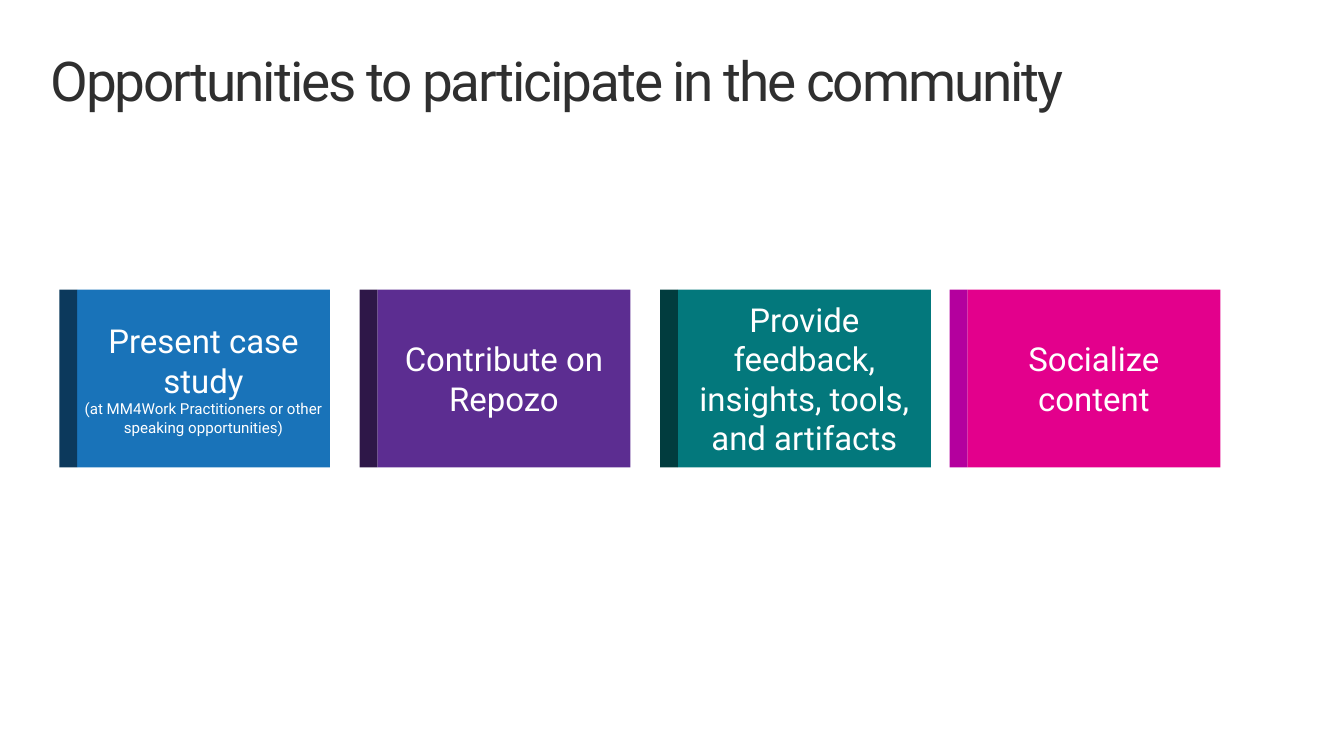
from pptx import Presentation
from pptx.dml.color import RGBColor
from pptx.enum.shapes import MSO_SHAPE
from pptx.enum.text import MSO_ANCHOR, PP_ALIGN
from pptx.util import Emu, Pt

PX = 9144  # EMU per px, at 100 px to the inch
WHITE = RGBColor(0xFF, 0xFF, 0xFF)
INK = RGBColor(0x2F, 0x2F, 0x2F)
BLUE = RGBColor(0x19, 0x73, 0xB9)
NAVY = RGBColor(0x0C, 0x39, 0x5C)
PURPLE = RGBColor(0x5C, 0x2D, 0x91)
PLUM = RGBColor(0x2E, 0x17, 0x48)
TEAL = RGBColor(0x03, 0x78, 0x7C)
PINE = RGBColor(0x01, 0x3C, 0x3E)
PINK = RGBColor(0xE3, 0x00, 0x8C)
VIOLET = RGBColor(0xB4, 0x00, 0x9E)

TOP, HEIGHT, EDGE, WIDTH = 293, 180, 18, 256
CARDS = [
    (60, BLUE, NAVY, [
        ("Present case study", 24),
        ("(at MM4Work Practitioners or other speaking opportunities)", 11),
    ]),
    (364, PURPLE, PLUM, [("Contribute on Repozo", 24)]),
    (668, TEAL, PINE, [
        ("Provide", 24),
        ("feedback, insights, tools, and artifacts", 24),
    ]),
    (961, PINK, VIOLET, [("Socialize", 24), ("content", 24)]),
]


def px(*sizes):
    return [Emu(size * PX) for size in sizes]


def write(frame, lines, color=WHITE, font="Roboto", align=PP_ALIGN.CENTER,
          anchor=MSO_ANCHOR.MIDDLE, pad=5, leading=None, track=None):
    """Fill a frame with one paragraph per (words, point size) pair."""
    frame.word_wrap = True
    frame.vertical_anchor = anchor
    frame.margin_left = frame.margin_right = 0
    frame.margin_top = frame.margin_bottom = Emu(pad * PX)
    for i, (words, size) in enumerate(lines):
        para = frame.add_paragraph() if i else frame.paragraphs[0]
        para.alignment = align
        if leading:
            para.line_spacing = Pt(leading)
        run = para.add_run()
        run.text = words
        run.font.name = font
        run.font.size = Pt(size)
        run.font.color.rgb = color
        if track:
            run.font._element.set("spc", str(int(track * 100)))


class Deck:
    def __init__(self, width, height):
        self.file = Presentation()
        self.file.slide_width, self.file.slide_height = px(width, height)
        self.slide = self.file.slides.add_slide(self.file.slide_layouts[6])

    def title(self, words, x, y, w, h):
        box = self.slide.shapes.add_textbox(*px(x, y, w, h))
        write(box.text_frame, [(words, 40)], color=INK, align=PP_ALIGN.LEFT,
              anchor=MSO_ANCHOR.TOP, pad=0, leading=32, track=-1.5)

    def block(self, x, y, w, h, fill):
        shape = self.slide.shapes.add_shape(MSO_SHAPE.RECTANGLE, *px(x, y, w, h))
        shape.shadow.inherit = False
        shape.fill.solid()
        shape.fill.fore_color.rgb = fill
        shape.line.fill.background()
        return shape

    def card(self, x, fill, dark, lines):
        """Draw a text block with a dark strip along its left side."""
        body = self.block(x + EDGE, TOP, WIDTH, HEIGHT, fill)
        write(body.text_frame, lines)
        self.block(x, TOP, EDGE, HEIGHT, dark)


def main():
    deck = Deck(1360, 765)
    deck.title("Opportunities to participate in the community", 51, 69, 1261, 46)
    for card in CARDS:
        deck.card(*card)
    deck.file.save("out.pptx")


if __name__ == "__main__":
    main()
